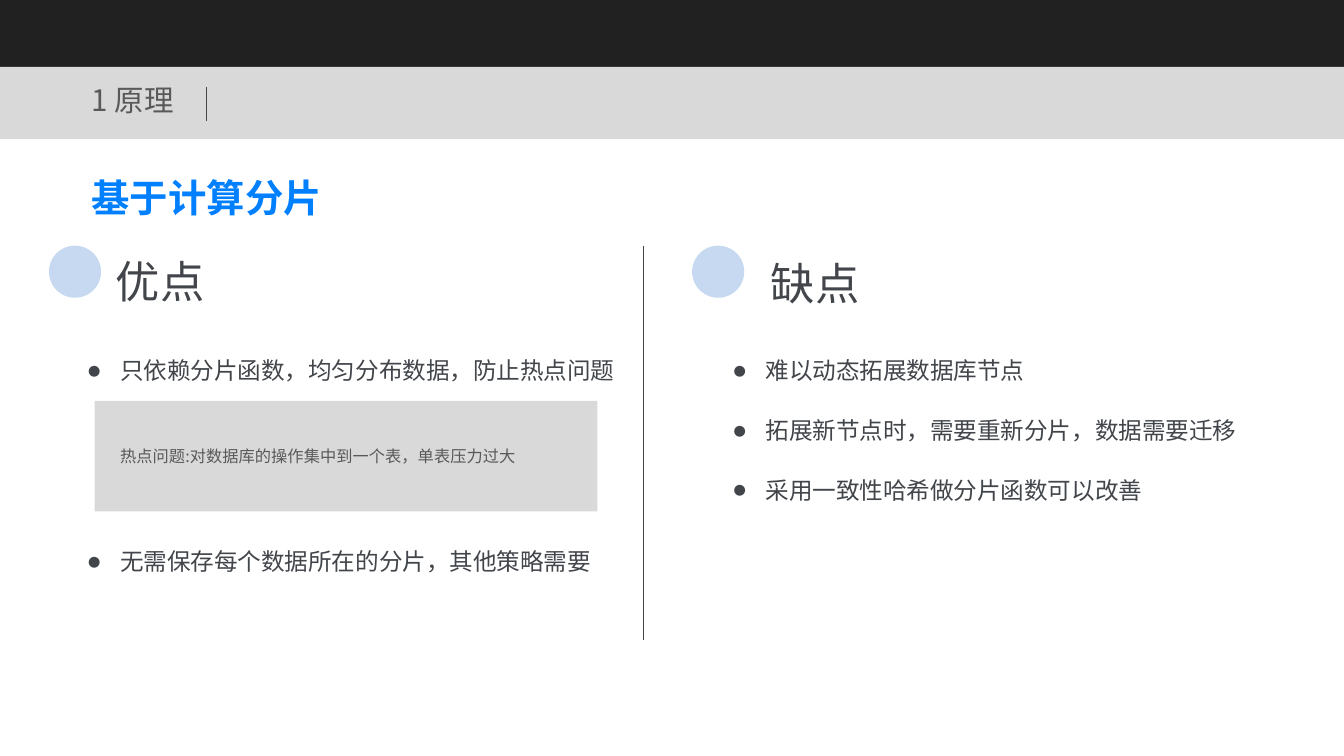
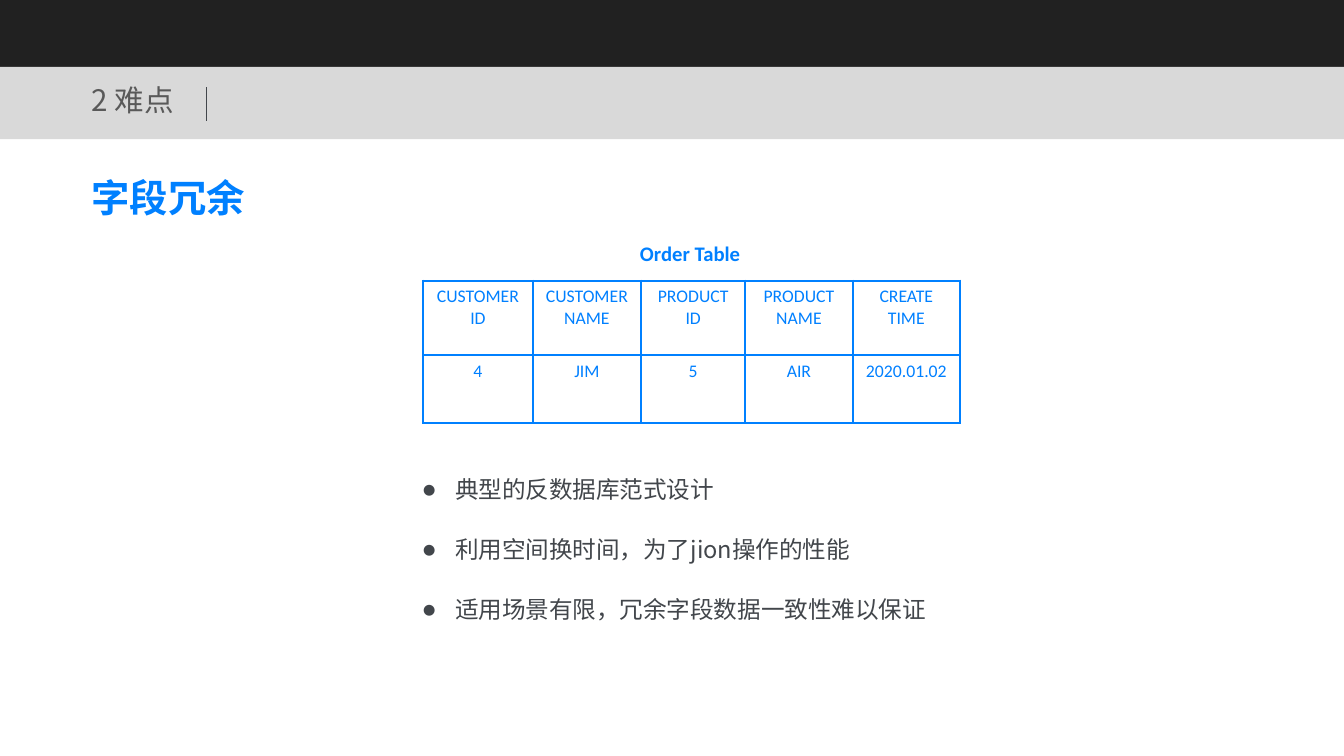
"""Two slides on database sharding: trade-offs of computed shards, and redundant fields."""
from lxml import etree
from pptx import Presentation
from pptx.dml.color import RGBColor
from pptx.enum.shapes import MSO_CONNECTOR, MSO_SHAPE
from pptx.enum.text import MSO_ANCHOR, PP_ALIGN
from pptx.oxml.ns import qn
from pptx.util import Inches, Pt

RECTANGLE, OVAL = MSO_SHAPE.RECTANGLE, MSO_SHAPE.OVAL
STRAIGHT = MSO_CONNECTOR.STRAIGHT
LEFT, CENTER = PP_ALIGN.LEFT, PP_ALIGN.CENTER
TOP, MIDDLE = MSO_ANCHOR.TOP, MSO_ANCHOR.MIDDLE

INK = RGBColor(0x42, 0x46, 0x4B)
GREY = RGBColor(0x59, 0x59, 0x59)
BLUE = RGBColor(0x00, 0x80, 0xFF)
PALE_BLUE = RGBColor(0xC6, 0xD9, 0xF1)
BLACK = RGBColor(0x21, 0x21, 0x21)
SILVER = RGBColor(0xD9, 0xD9, 0xD9)
WHITE = RGBColor(0xFF, 0xFF, 0xFF)

CJK, LATIN = "Noto Sans CJK SC", "Calibri"
SECTION = ({"name": CJK, "size": Pt(20)}, GREY)
TITLE = ({"name": CJK, "size": Pt(26), "bold": True}, BLUE)
HEADING = ({"name": CJK, "size": Pt(30)}, INK)
BODY = ({"name": CJK, "size": Pt(16)}, INK)
REMARK = ({"name": CJK, "size": Pt(11)}, GREY)
CAPTION = ({"name": LATIN, "size": Pt(14), "bold": True}, BLUE)
CELL = ({"name": LATIN, "size": Pt(12)}, BLUE)
ROOMY = {"margin_left": Inches(0.14), "margin_right": Inches(0.14),
         "margin_top": Inches(0.07), "margin_bottom": Inches(0.07), "word_wrap": True}
SNUG = {"word_wrap": False}

deck = Presentation()
deck.slide_width, deck.slide_height = Inches(12.64), Inches(7.11)
COL, ROW = deck.slide_width / 100, deck.slide_height / 100
MARGIN, MIDLINE = 5.7, 47.86
BAND_SPLIT, BAND_END = 8.86, 18.42


def place(x, y, width, height):
    return [round(x * COL), round(y * ROW), round(width * COL), round(height * ROW)]


def write(frame, lines, style, gap=0, bulleted=False, align=LEFT):
    font_format, color = style
    for index, line in enumerate(lines):
        paragraph = frame.paragraphs[0] if index == 0 else frame.add_paragraph()
        paragraph.alignment = align
        if index and gap:
            paragraph.space_before = Pt(gap)
        if bulleted:
            properties = paragraph._p.get_or_add_pPr()
            properties.set("marL", str(Inches(0.31)))
            properties.set("indent", str(-Inches(0.31)))
            etree.SubElement(properties, qn("a:buFont"), typeface=LATIN)
            etree.SubElement(properties, qn("a:buChar"), char="●")
        run = paragraph.add_run()
        run.text = line
        for key, value in font_format.items():
            setattr(run.font, key, value)
        run.font.color.rgb = color
        etree.SubElement(run._r.get_or_add_rPr(), qn("a:ea"), typeface=font_format["name"])


computed, redundant = [deck.slides.add_slide(deck.slide_layouts[6]) for _ in range(2)]

blocks = [(computed, OVAL, (x, 32.5, 3.88, 6.89), PALE_BLUE) for x in (3.64, 51.5)]
rules = [(computed, MIDLINE, 32.49, 84.67)]
texts = []
for slide, section, title in [(computed, "1 原理", "基于计算分片"),
                              (redundant, "2 难点", "字段冗余")]:
    blocks += [(slide, RECTANGLE, (0, 0, 100, BAND_SPLIT), BLACK),
               (slide, RECTANGLE, (0, BAND_SPLIT, 100, BAND_END - BAND_SPLIT), SILVER)]
    rules.append((slide, 15.35, 11.53, 16.03))
    texts += [(slide, (MARGIN, 9.85, 10.05, 7.45), [section], SECTION, ROOMY, {}),
              (slide, (MARGIN, 22.08, 31.57, 9.14), [title], TITLE, ROOMY, {})]
blocks.append((computed, RECTANGLE, (7.04, 53.02, 37.42, 14.63), SILVER))

for slide, outline, box, color in blocks:
    block = slide.shapes.add_shape(outline, *place(*box))
    block.shadow.inherit = False
    block.fill.solid()
    block.fill.fore_color.rgb = color
    block.line.fill.background()
remark = block.text_frame
remark.margin_left, remark.vertical_anchor, remark.word_wrap = Inches(0.24), MIDDLE, True
write(remark, ["热点问题:对数据库的操作集中到一个表，单表压力过大"], REMARK)

for slide, x, top, bottom in rules:
    left, upper, _, length = place(x, top, 0, bottom - top)
    rule = slide.shapes.add_connector(STRAIGHT, left, upper, left, upper + length)
    rule.line.color.rgb, rule.line.width = INK, Pt(0.5)
    etree.SubElement(rule._element.spPr, qn("a:effectLst"))

merits = ["只依赖分片函数，均匀分布数据，防止热点问题", "无需保存每个数据所在的分片，其他策略需要"]
drawbacks = ["难以动态拓展数据库节点", "拓展新节点时，需要重新分片，数据需要迁移",
             "采用一致性哈希做分片函数可以改善"]
traits = ["典型的反数据库范式设计", "利用空间换时间，为了jion操作的性能",
          "适用场景有限，冗余字段数据一致性难以保证"]
spaced = {"gap": 21.3, "bulleted": True}
texts += [
    (computed, (7.52, 32.63, 9.5, 10.13), ["优点"], HEADING, ROOMY, {}),
    (computed, (56.25, 32.91, 9.5, 10.13), ["缺点"], HEADING, ROOMY, {}),
    (computed, (5.38, 46.13, 42.48, 32.63), merits, BODY, ROOMY, {"gap": 110.2, "bulleted": True}),
    (computed, (53.4, 46.13, 42.48, 27.85), drawbacks, BODY, ROOMY, spaced),
    (redundant, (30.3, 61.88, 40.35, 23.91), traits, BODY, ROOMY, spaced),
    (redundant, (46.84, 31.22, 9.1, 4.78), ["Order Table"], CAPTION, SNUG, {}),
]
for slide, box, lines, style, frame_format, layout in texts:
    frame = slide.shapes.add_textbox(*place(*box)).text_frame
    for key, value in frame_format.items():
        setattr(frame, key, value)
    write(frame, lines, style, **layout)

orders = [
    [["CUSTOMER", "ID"], ["CUSTOMER", "NAME"], ["PRODUCT", "ID"],
     ["PRODUCT", "NAME"], ["CREATE", "TIME"]],
    [["4"], ["JIM"], ["5"], ["AIR"], ["2020.01.02"]],
]
column_shares, row_shares = [8.15, 8.07, 7.75, 7.99, 7.99], [9.85, 9]
order_table = redundant.shapes.add_table(
    len(row_shares), len(column_shares),
    *place(31.49, 37.13, sum(column_shares), sum(row_shares))).table
for column, share in zip(order_table.columns, column_shares):
    column.width = round(share * COL)
for row, share, entries in zip(order_table.rows, row_shares, orders):
    row.height = round(share * ROW)
    for cell, lines in zip(row.cells, entries):
        cell.fill.solid()
        cell.fill.fore_color.rgb = WHITE
        cell.vertical_anchor = TOP
        write(cell.text_frame, lines, CELL, align=CENTER)
        cell_properties = cell._tc.get_or_add_tcPr()
        for position, side in enumerate(("lnL", "lnR", "lnT", "lnB")):
            border = etree.Element(qn(f"a:{side}"), w=str(Pt(1.5)))
            paint = etree.SubElement(border, qn("a:solidFill"))
            etree.SubElement(paint, qn("a:srgbClr"), val=str(BLUE))
            cell_properties.insert(position, border)

deck.save("out.pptx")
